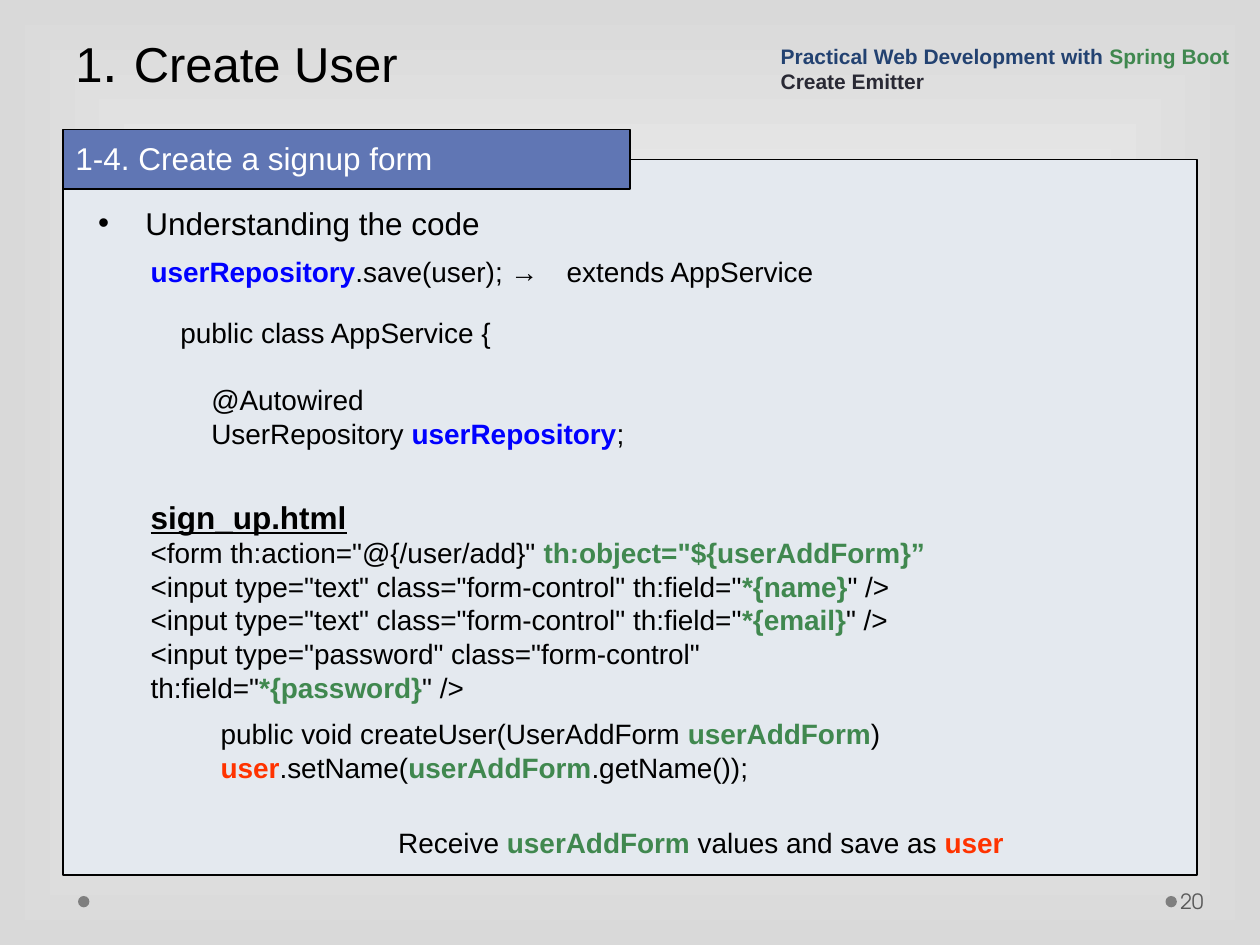
from lxml.etree import SubElement
from pptx import Presentation
from pptx.dml.color import RGBColor
from pptx.enum.shapes import MSO_SHAPE
from pptx.enum.text import MSO_ANCHOR
from pptx.oxml.ns import qn
from pptx.util import Pt

BLACK, WHITE, GREY = "000000", "FFFFFF", "7F7F7F"
BLUE, GREEN, RED = "0000FF", "40884F", "FF3300"
NAVY, INK, NUMBER_GREY = "234271", "292934", "595959"
PANEL, LABEL = "E4E9EF", "6076B4"


def color(value):
    return RGBColor.from_string(value)


def strong(text, value):
    return text, {"color": value, "bold": True}


def add_background(page):
    """Rectangular gradient, light in the middle."""
    fill = page.background.fill
    fill.gradient()
    for stop, value, position in zip(fill.gradient_stops, (WHITE, "D9D9D9"), (0, 1)):
        stop.color.rgb = color(value)
        stop.position = position
    gradient = next(page.element.iter(qn("a:gradFill")))
    for linear in gradient.findall(qn("a:lin")):
        gradient.remove(linear)
    path = SubElement(gradient, qn("a:path"), {"path": "rect"})
    SubElement(path, qn("a:fillToRect"), {side: "50000" for side in "ltrb"})


def add_block(page, kind, box, fill, line=None):
    shape = page.shapes.add_shape(kind, *map(Pt, box))
    shape.shadow.inherit = False
    shape.fill.solid()
    shape.fill.fore_color.rgb = color(fill)
    if line:
        shape.line.color.rgb = color(line)
        shape.line.width = Pt(0.75)
    else:
        shape.line.fill.background()
    return shape


def write(frame, lines, size=16, font="Arial", value=BLACK, anchor=MSO_ANCHOR.TOP):
    """Fill a frame; a line is a list of strings or (string, format) spans."""
    frame.word_wrap = True
    frame.vertical_anchor = anchor
    for index, spans in enumerate(lines):
        para = frame.paragraphs[0] if index == 0 else frame.add_paragraph()
        for item in spans:
            text, style = (item, {}) if isinstance(item, str) else item
            style = {"name": font, "size": size, "color": value, **style}
            span = para.add_run()
            span.text = text
            span.font.color.rgb = color(style.pop("color"))
            style["size"] = Pt(style["size"])
            for name, setting in style.items():
                setattr(span.font, name, setting)
    return frame


def add_text(page, box, lines, **style):
    return write(page.shapes.add_textbox(*map(Pt, box)).text_frame, lines, **style)


def add_header(page):
    title = add_text(page, (36, 0, 400, 57),
                     [["1", (". ", {"size": 32}), "Create User"]],
                     size=28, anchor=MSO_ANCHOR.BOTTOM)
    title.paragraphs[0].line_spacing = Pt(58)
    add_text(page, (439, 17, 281, 40),
             [[strong("Practical Web Development with ", NAVY),
               strong("Spring Boot", GREEN)],
              [strong("Create Emitter", INK)]],
             size=12, anchor=MSO_ANCHOR.BOTTOM)


def add_panel(page, box):
    left, top, width, height = box
    add_block(page, MSO_SHAPE.RECTANGLE, box, PANEL, BLACK)
    label = add_block(page, MSO_SHAPE.RECTANGLE,
                      (left, top - 17, width / 2, 34), LABEL, BLACK)
    para = write(label.text_frame, [["1-4. Create a signup form"]],
                 size=18, value=WHITE).paragraphs[0]
    para.alignment = 1
    para.line_spacing = 1.1

    heading = add_text(page, (left + 13, top + 22, 557, 29),
                       [["Understanding the code"]], size=18)
    properties = heading.paragraphs[0]._p.get_or_add_pPr()
    properties.set("marL", str(Pt(27)))
    properties.set("indent", str(Pt(-27)))
    SubElement(properties, qn("a:buFont"), {"typeface": "Arial"})
    SubElement(properties, qn("a:buChar"), {"char": "•"})


def add_java_code(page, left, top):
    add_text(page, (left, top, 413, 27),
             [[strong("userRepository", BLUE), ".save(user); →　extends AppService"]])
    service = add_text(page, (left + 17, top + 35, 413, 104),
                       [["public class AppService {"],
                        ["    @Autowired"],
                        ["    UserRepository ", strong("userRepository", BLUE), ";"]])
    service.paragraphs[1].space_before = Pt(19)


def add_form_code(page, left, top):
    def field(kind, name):
        return [f'<input type="{kind}" class="form-control" th:field="',
                strong(f"*{{{name}}}", GREEN), '" />']

    add_text(page, (left, top, 506, 125),
             [[("sign_up.html", {"size": 18, "bold": True, "underline": True})],
              ['<form th:action="@{/user/add}" ',
               strong('th:object="${userAddForm}”', GREEN)],
              field("text", "name"),
              field("text", "email"),
              field("password", "password")])


def add_controller_code(page, left, top):
    form, user = strong("userAddForm", GREEN), strong("user", RED)
    add_text(page, (left, top, 413, 46),
             [["public void createUser(UserAddForm ", form, ")"],
              [user, ".setName(", form, ".getName());"]])
    add_text(page, (left + 101.5, top + 62, 413, 27),
             [["Receive ", form, " values and save as ", user]])


def add_footer(page):
    for left in (44.6, 666):
        add_block(page, MSO_SHAPE.OVAL, (left, 512, 6.5, 6.5), GREY)
    number = add_text(page, (672.5, 500.5, 44, 29), [["20"]], size=12,
                      font="TeX Gyre Adventor", value=NUMBER_GREY,
                      anchor=MSO_ANCHOR.MIDDLE)
    number.margin_left = Pt(2)


def main():
    deck = Presentation()
    deck.slide_width, deck.slide_height = Pt(720), Pt(540)
    page = deck.slides.add_slide(deck.slide_layouts[6])
    add_background(page)
    add_footer(page)
    add_panel(page, (36, 91, 648, 409))
    add_header(page)
    add_java_code(page, 79, 142)
    add_form_code(page, 79, 281)
    add_controller_code(page, 119, 406)
    deck.save("out.pptx")


if __name__ == "__main__":
    main()
